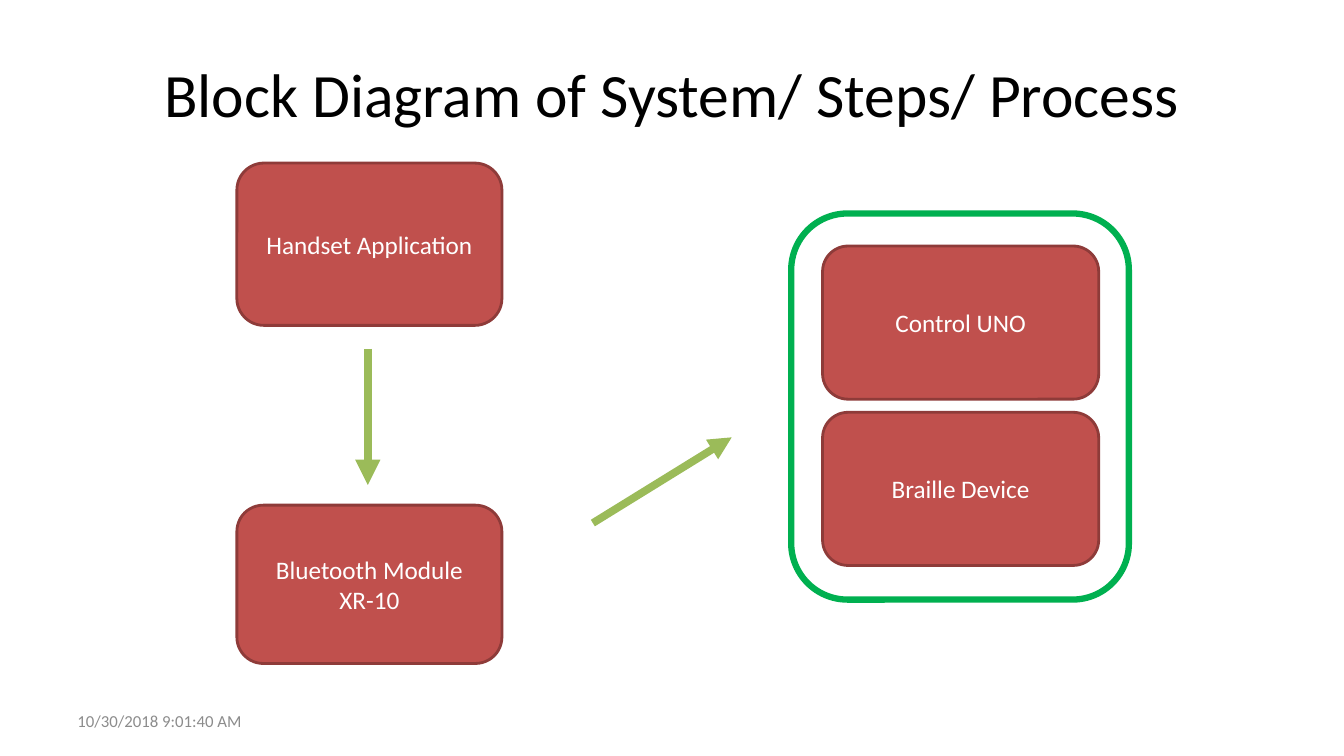
from lxml import etree
from pptx import Presentation
from pptx.dml.color import RGBColor
from pptx.enum.shapes import MSO_CONNECTOR, MSO_SHAPE
from pptx.enum.text import MSO_ANCHOR, PP_ALIGN
from pptx.oxml.ns import qn
from pptx.util import Cm, Pt

ROUNDED = MSO_SHAPE.ROUNDED_RECTANGLE
STRAIGHT = MSO_CONNECTOR.STRAIGHT
MIDDLE = MSO_ANCHOR.MIDDLE
CENTER, LEFT = PP_ALIGN.CENTER, PP_ALIGN.LEFT
TITLE_ONLY = 5

RED, DARK_RED = "C0504D", "8E3B39"
GREEN, OLIVE = "00B050", "9BBB59"
BLACK, WHITE, GREY = "000000", "FFFFFF", "8C8C8C"

BLOCKS = [
    ("Control UNO", (20.73, 6.2, 6.96, 3.86)),
    ("Braille Device", (20.73, 10.39, 6.96, 3.86)),
    ("Handset Application", (5.97, 4.11, 6.68, 4.09)),
    ("Bluetooth Module XR-10", (5.97, 12.73, 6.68, 3.99)),
]
DEVICE_FRAME = (19.94, 5.38, 8.51, 9.73)
ARROWS = [
    ((9.27, 8.79, 9.27, 12.22), 6),
    ((14.94, 13.18, 18.44, 11.02), 5.5),
]


def rgb(hex_color):
    """Return the colour for a hex string."""
    return RGBColor.from_string(hex_color)


def lengths(values):
    """Return the given centimetres as lengths."""
    return [Cm(value) for value in values]


def style_line(line, color, width):
    """Set the colour and the width in points of a line."""
    line.color.rgb = rgb(color)
    line.width = Pt(width)


def write(frame, words, size, color, align=CENTER):
    """Write one formatted paragraph, centred vertically."""
    frame.word_wrap = True
    frame.vertical_anchor = MIDDLE
    paragraph = frame.paragraphs[0]
    paragraph.alignment = align
    run = paragraph.add_run()
    run.text = words
    for key, value in {"name": "Calibri", "size": Pt(size)}.items():
        setattr(run.font, key, value)
    run.font.color.rgb = rgb(color)


def add_title(slide, words):
    """Place and fill the title placeholder."""
    title = slide.shapes.title
    places = zip(("left", "top", "width", "height"), (1.7, 0.76, 30.48, 3.18))
    for key, value in places:
        setattr(title, key, Cm(value))
    write(title.text_frame, words, 44, BLACK)


def add_date(slide, words):
    """Add the date at the foot of the slide."""
    date = slide.shapes.add_textbox(*lengths((1.7, 17.65, 7.9, 1.02)))
    write(date.text_frame, words, 12, GREY, LEFT)


def add_block(slide, words, place):
    """Add a filled block with its label."""
    block = slide.shapes.add_shape(ROUNDED, *lengths(place))
    block.shadow.inherit = False
    block.fill.solid()
    block.fill.fore_color.rgb = rgb(RED)
    style_line(block.line, DARK_RED, 2)
    write(block.text_frame, words, 18, WHITE)


def add_frame(slide, place):
    """Add the open outline around the device blocks."""
    frame = slide.shapes.add_shape(ROUNDED, *lengths(place))
    frame.shadow.inherit = False
    frame.fill.background()
    style_line(frame.line, GREEN, 4.5)


def add_arrow(slide, ends, width):
    """Add a straight arrow with a triangular head."""
    arrow = slide.shapes.add_connector(STRAIGHT, *lengths(ends))
    style_line(arrow.line, OLIVE, width)
    etree.SubElement(arrow.line._get_or_add_ln(), qn("a:tailEnd"), type="triangle")
    etree.SubElement(arrow._element.spPr, qn("a:effectLst"))


def main():
    """Build and save the slide."""
    deck = Presentation()
    deck.slide_width, deck.slide_height = lengths((33.87, 19.05))
    slide = deck.slides.add_slide(deck.slide_layouts[TITLE_ONLY])
    add_title(slide, "Block Diagram of System/ Steps/ Process")
    add_date(slide, "10/30/2018 9:01:40 AM")
    for words, place in BLOCKS:
        add_block(slide, words, place)
    add_frame(slide, DEVICE_FRAME)
    for ends, width in ARROWS:
        add_arrow(slide, ends, width)
    deck.save("out.pptx")


if __name__ == "__main__":
    main()
